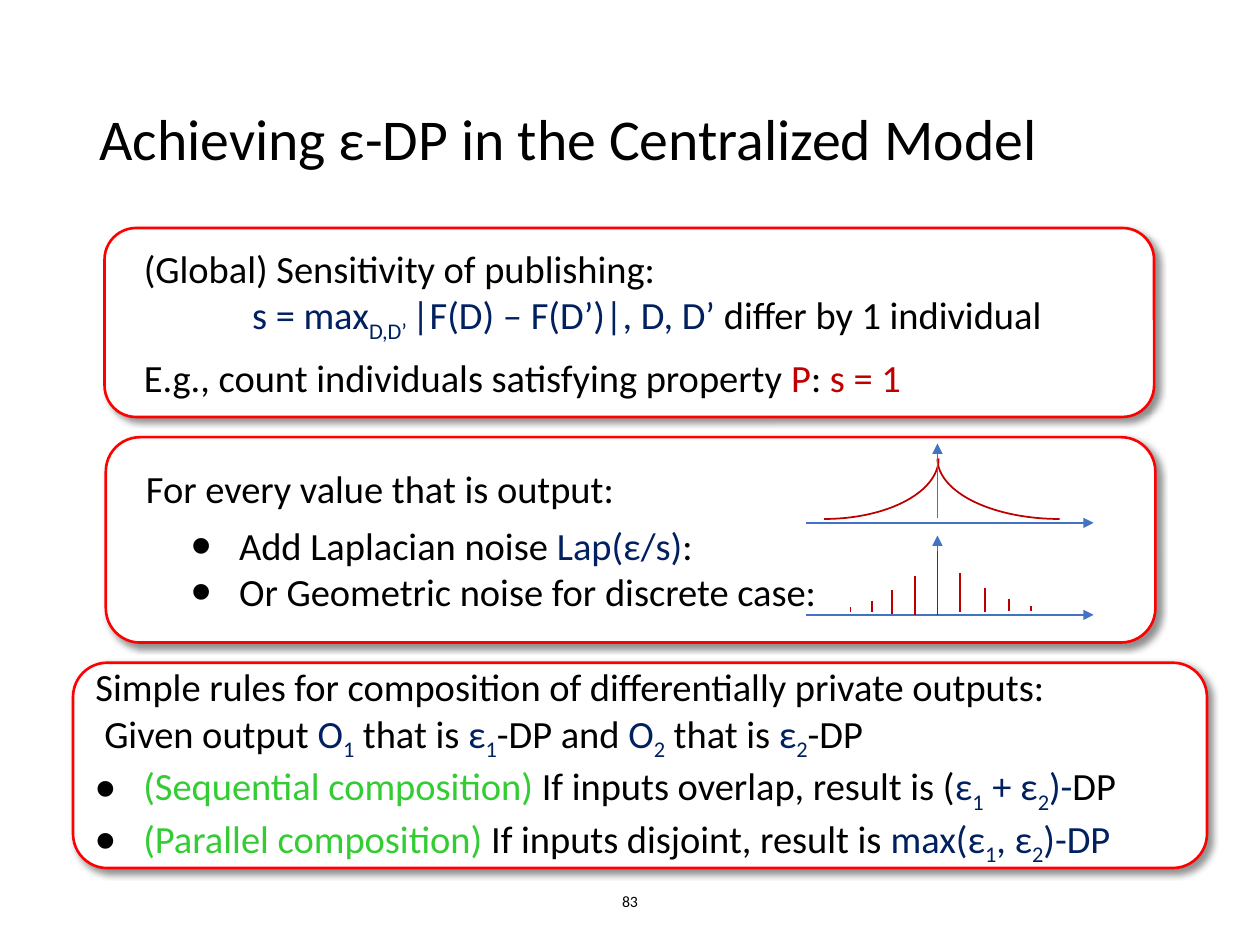
from collections import namedtuple

from lxml.etree import SubElement
from pptx import Presentation
from pptx.dml.color import RGBColor
from pptx.enum.shapes import MSO_CONNECTOR, MSO_SHAPE
from pptx.enum.text import MSO_ANCHOR, PP_ALIGN
from pptx.oxml.ns import qn
from pptx.util import Inches, Pt

BLACK = RGBColor(0x00, 0x00, 0x00)
WHITE = RGBColor(0xFF, 0xFF, 0xFF)
RED = RGBColor(0xFF, 0x00, 0x00)
NAVY = RGBColor(0x00, 0x20, 0x60)
DARK_RED = RGBColor(0xC0, 0x00, 0x00)
CURVE_RED = RGBColor(0xBB, 0x00, 0x00)
GREEN = RGBColor(0x33, 0xCC, 0x33)
BLUE = RGBColor(0x44, 0x72, 0xC4)

FONT = "Calibri"
COLUMNS, ROWS = 100, 75
CELL = Inches(0.1)
Box = namedtuple("Box", "left top width height")
Line = namedtuple("Line", "runs indent hanging space level bullet", defaults=(0, 0, 0, 0, False))

SENSITIVITY = [
    Line([("(Global) Sensitivity of publishing:",)], indent=1.4),
    Line([("s = max", NAVY), ("D,D’ ", NAVY, True), ("|F(D) – F(D’)|, D, D’ ", NAVY),
          ("differ by 1 individual",)], indent=10),
    Line([("E.g., count individuals satisfying property ",), ("P", DARK_RED), (": ",),
          ("s = 1", DARK_RED)], indent=1.4, space=6),
]
NOISE = [
    Line([("For every value that is output:",)], indent=1.4),
    Line([("Add Laplacian noise ",), ("Lap(ε/s)", NAVY), (":",)], 8.8, -3.8, 6, 1, True),
    Line([("Or Geometric noise for discrete case:",)], 8.8, -3.8, 0, 1, True),
]
COMPOSITION = [
    Line([("Simple rules for composition of differentially private outputs:",)]),
    Line([("Given output ",), ("O", NAVY), ("1", NAVY, True), (" that is ",), ("ε", NAVY),
          ("1", NAVY, True), ("-DP and ",), ("O", NAVY), ("2", NAVY, True), (" that is ",),
          ("ε", NAVY), ("2", NAVY, True), ("-DP",)], indent=0.7),
    Line([("(Sequential composition) ", GREEN), ("If inputs overlap, result is (",), ("ε", NAVY),
          ("1", NAVY, True), (" + ε", NAVY), ("2", NAVY, True), (")-", NAVY), ("DP",)],
         3.8, -3.8, bullet=True),
    Line([("(Parallel composition) ", GREEN), ("If inputs disjoint, result is ",),
          ("max(ε", NAVY), ("1", NAVY, True), (", ε", NAVY), ("2", NAVY, True),
          (")-DP", NAVY)], 3.8, -3.8, bullet=True),
]
BARS = [(-6.9, 0.4, 0.2), (-5.2, 0.9, 0.2), (-3.6, 1.9, 0.1), (-1.8, 3.1, 0), (0, 5.1, 0),
        (1.8, 3.1, 0.2), (3.8, 1.9, 0.2), (5.7, 1, 0.3), (7.4, 0.4, 0.3)]


def cells(*values):
    """Turn grid counts into slide lengths."""
    return [round(value * CELL) for value in values]


def add_run(paragraph, text, color=BLACK, subscript=False, size=22):
    """Append formatted text to a paragraph."""
    run = paragraph.add_run()
    run.text = text
    run.font.name = FONT
    run.font.size = Pt(size)
    run.font.color.rgb = color
    if subscript:
        run.font._element.set("baseline", "-25000")


def add_bullet(properties):
    """Give paragraph properties a large round black bullet."""
    color = SubElement(properties, qn("a:buClr"))
    SubElement(color, qn("a:srgbClr"), val=str(BLACK))
    SubElement(properties, qn("a:buSzPct"), val="150000")
    SubElement(properties, qn("a:buFont"), typeface="Arial")
    SubElement(properties, qn("a:buChar"), char="•")


def add_lines(frame, lines):
    """Write each line as one paragraph of the frame."""
    for index, line in enumerate(lines):
        paragraph = frame.add_paragraph() if index else frame.paragraphs[0]
        paragraph.alignment = PP_ALIGN.LEFT
        paragraph.level = line.level
        properties = paragraph._p.get_or_add_pPr()
        left, hanging = cells(line.indent, line.hanging)
        properties.set("marL", str(left))
        properties.set("indent", str(hanging))
        if line.bullet:
            add_bullet(properties)
        if line.space:
            paragraph.space_before = Pt(line.space)
        for run in line.runs:
            add_run(paragraph, *run)


def add_label(slide, box, text, size, alignment=PP_ALIGN.LEFT, spacing=1.0):
    """Place a single centred-height line of text in the box."""
    frame = slide.shapes.add_textbox(*cells(*box)).text_frame
    frame.word_wrap = True
    frame.vertical_anchor = MSO_ANCHOR.MIDDLE
    paragraph = frame.paragraphs[0]
    paragraph.alignment = alignment
    paragraph.line_spacing = spacing
    add_run(paragraph, text, size=size)


def add_panel(slide, box, lines):
    """Place a rounded, shadowed panel holding the lines."""
    panel = slide.shapes.add_shape(MSO_SHAPE.ROUNDED_RECTANGLE, *cells(*box))
    panel.fill.solid()
    panel.fill.fore_color.rgb = WHITE
    panel.line.color.rgb = RED
    panel.line.width = Pt(1.5)
    panel.shadow.inherit = False
    effects = panel._element.spPr.find(qn("a:effectLst"))
    shadow = SubElement(effects, qn("a:outerShdw"), blurRad=str(Pt(4)), dist=str(Pt(3)),
                        dir="2700000", algn="tl", rotWithShape="0")
    color = SubElement(shadow, qn("a:srgbClr"), val=str(BLACK))
    SubElement(color, qn("a:alpha"), val="43000")
    panel.text_frame.word_wrap = True
    panel.text_frame.vertical_anchor = MSO_ANCHOR.MIDDLE
    add_lines(panel.text_frame, lines)


def add_stroke(slide, start, end, color, arrow=False):
    """Draw a straight line between two grid points."""
    connector = slide.shapes.add_connector(MSO_CONNECTOR.STRAIGHT, *cells(*start, *end))
    connector.line.color.rgb = color
    connector.line.width = Pt(1)
    if arrow:
        SubElement(connector.line._get_or_add_ln(), qn("a:tailEnd"), type="triangle")
    SubElement(connector._element.spPr, qn("a:effectLst"))


def add_axes(slide, box, center, gap):
    """Draw the upright and level axes of a plot filling the box."""
    bottom = box.top + box.height
    add_stroke(slide, (center, bottom - gap), (center, box.top), BLUE, arrow=True)
    add_stroke(slide, (box.left, bottom), (box.left + box.width, bottom), BLUE, arrow=True)


def add_laplace_plot(slide, box):
    """Draw the two falling arcs of the Laplace density and its axes."""
    center = box.left + 10.4
    top = box.top - 3.6
    for left, width, mirrored in ((center, 19.4, True), (center - 18.1, 18.2, False)):
        arc = slide.shapes.add_shape(MSO_SHAPE.ARC, *cells(left, top, width, 9.6))
        arc.fill.background()
        arc.line.color.rgb = CURVE_RED
        arc.line.width = Pt(1)
        arc.shadow.inherit = False
        transform = arc._element.spPr.find(qn("a:xfrm"))
        transform.set("flipV", "1")
        if mirrored:
            transform.set("flipH", "1")
    add_axes(slide, box, center, 0.4)


def add_geometric_plot(slide, box):
    """Draw the axes and bars of the geometric distribution."""
    center = box.left + 10.4
    bottom = box.top + box.height
    add_axes(slide, box, center, 0.3)
    for offset, height, lift in BARS:
        foot = bottom - lift
        add_stroke(slide, (center + offset, foot - height), (center + offset, foot), CURVE_RED)


def main():
    """Build and save the slide."""
    presentation = Presentation()
    presentation.slide_width, presentation.slide_height = cells(COLUMNS, ROWS)
    slide = presentation.slides.add_slide(presentation.slide_layouts[6])
    add_label(slide, Box(6.9, 4, 86.2, 14.5), "Achieving ε-DP in the Centralized Model", 33,
              spacing=0.9)
    add_panel(slide, Box(8.3, 18.1, 83.3, 15), SENSITIVITY)
    add_panel(slide, Box(8.4, 34.7, 83.3, 16.3), NOISE)
    add_laplace_plot(slide, Box(64, 35.2, 22.8, 6.3))
    add_geometric_plot(slide, Box(64, 42.5, 22.8, 6.3))
    add_panel(slide, Box(5.8, 52.6, 90, 16.3), COMPOSITION)
    add_label(slide, Box(33.1, 69.5, 33.8, 4), "83", 9, PP_ALIGN.CENTER)
    presentation.save("out.pptx")


if __name__ == "__main__":
    main()
